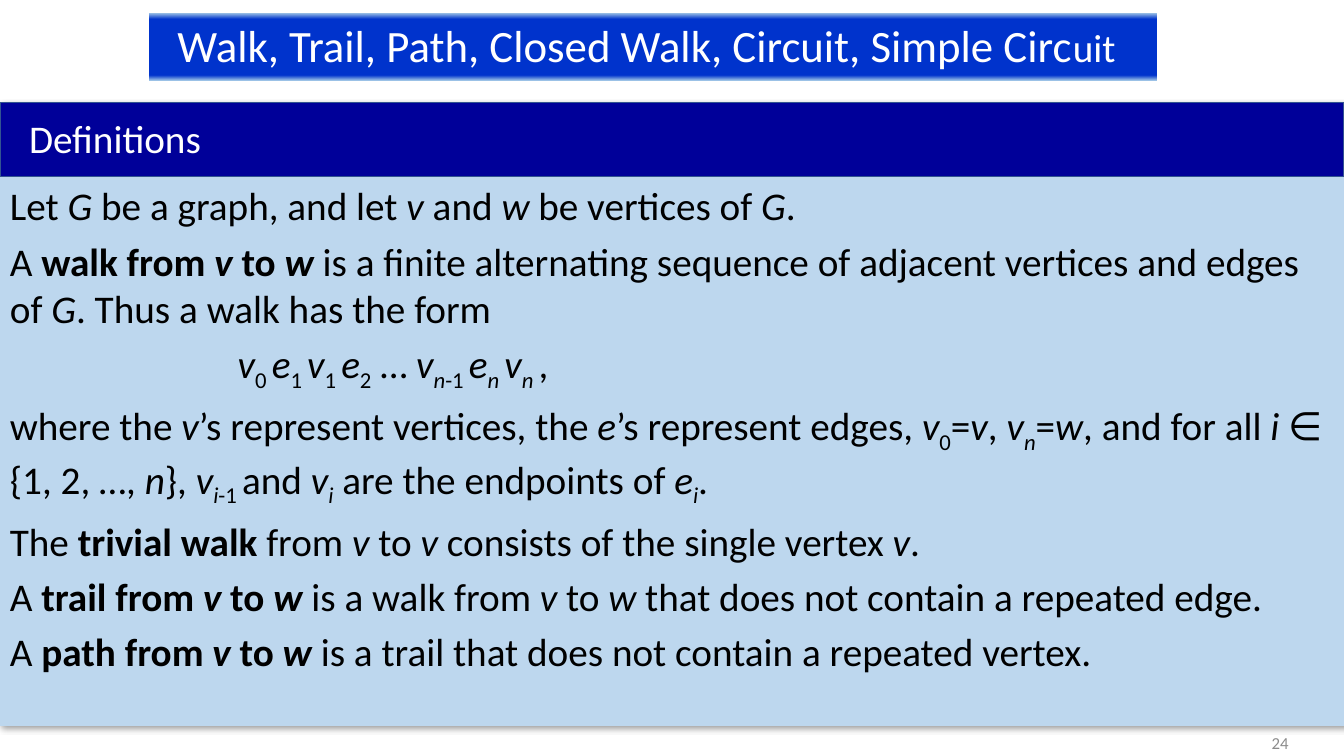
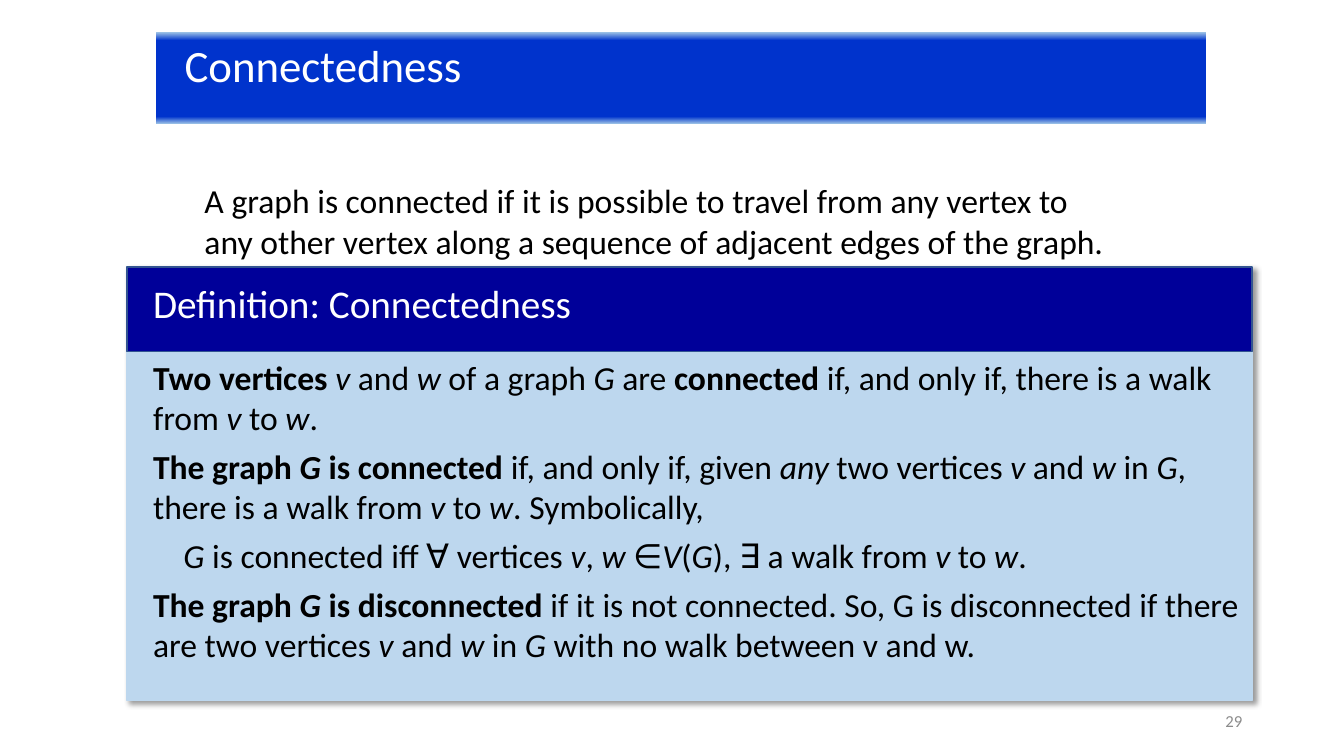
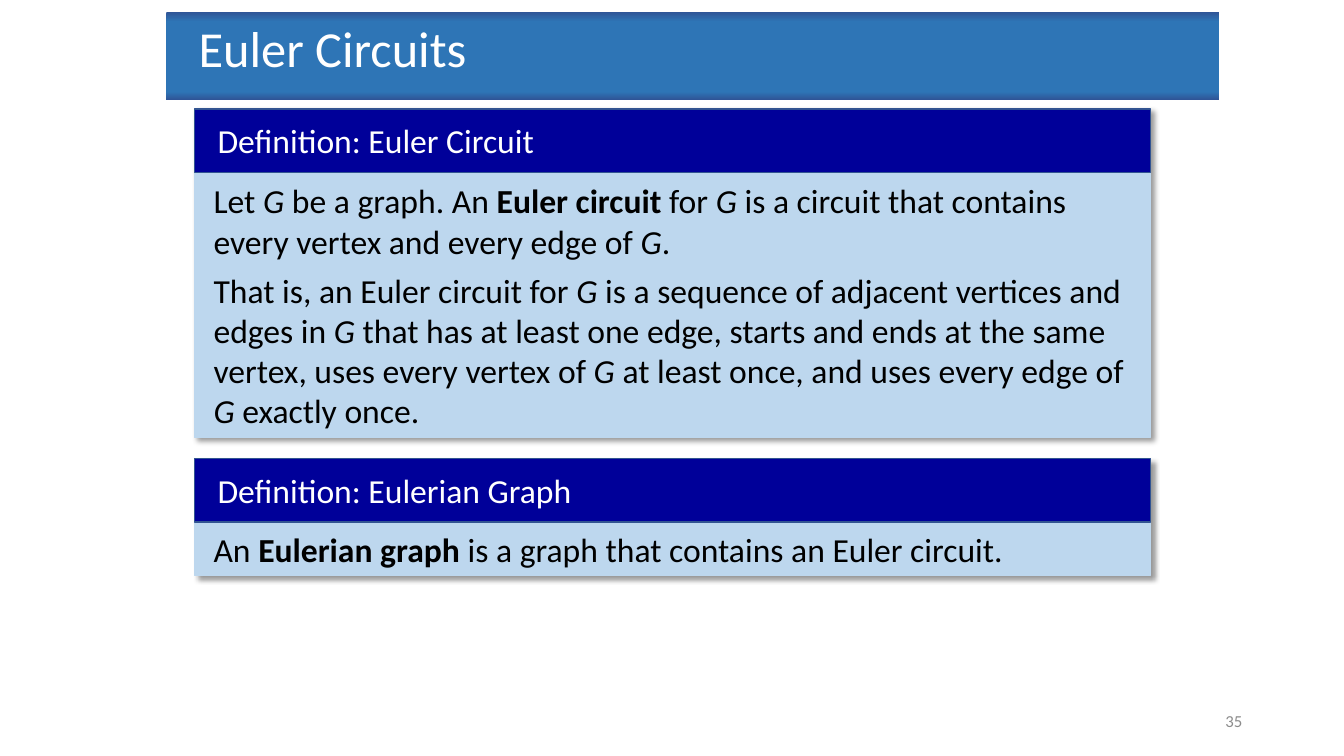
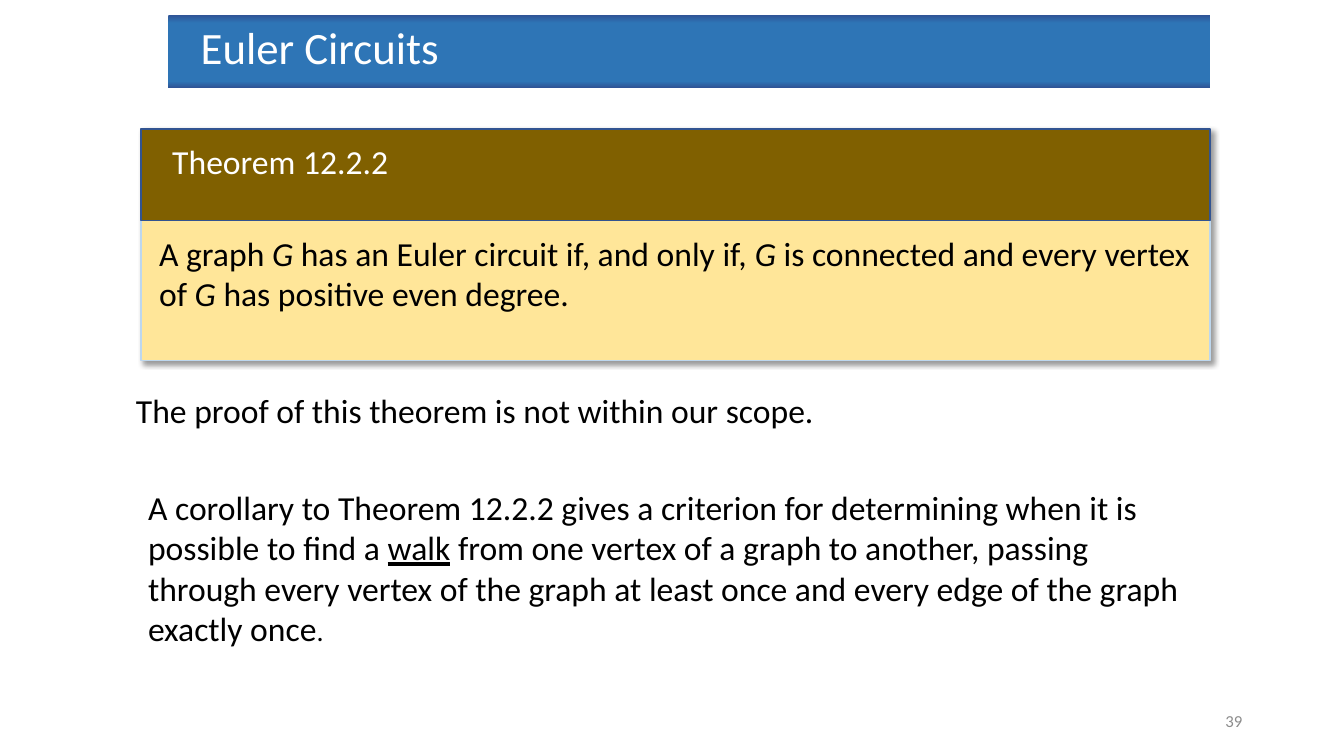
from lxml import etree
from pptx import Presentation
from pptx.dml.color import RGBColor
from pptx.enum.shapes import MSO_SHAPE
from pptx.enum.text import MSO_ANCHOR, MSO_AUTO_SIZE, PP_ALIGN
from pptx.oxml.ns import qn
from pptx.util import Inches, Pt

RECTANGLE = MSO_SHAPE.RECTANGLE
TOP, MIDDLE = MSO_ANCHOR.TOP, MSO_ANCHOR.MIDDLE
LEFT, RIGHT = PP_ALIGN.LEFT, PP_ALIGN.RIGHT
NO_AUTOFIT = MSO_AUTO_SIZE.NONE

FONT = "Calibri"
BLACK, WHITE, GREY = "000000", "FFFFFF", "8C8C8C"
PANEL_LINE, HEADER_LINE = "BDD7EE", "325491"
DEFINITION = ("000099", "BDD7EE")  # header fill, panel fill
THEOREM = ("806000", "FFE699")
# Title bands: gradient stops (percent, colour) and left margin of the title
ROYAL = ([(0, "9DC3E6"), (9, "0033CC"), (92, "0033CC"), (100, "9DC3E6")], 0.28)
STEEL = ([(0, "2F5597"), (11, "2E75B6"), (91, "2E75B6"), (100, "2F5597")], 0.32)
NUMBER_BOX = (9.42, 6.95, 3, 0.4)

# Marks that switch a style on and off in the texts below
MARKS = {"*": "bold", "_": "italic", "~": "subscript", "^": "underline", "|": "smaller"}

# Boxes are (left, top, width, height) in inches.
# A body paragraph is a string, or (string, first-line indent in inches).
SLIDES = [
    {
        "title": "Walk, Trail, Path, Closed Walk, Circuit, Simple Circ|uit|",
        "band": ROYAL, "title_box": (1.48, 0.13, 10, 0.67), "title_size": 32,
        "number": 24, "number_box": (9.88, 7.17, 3, 0.4),
        "panels": [{
            "colours": DEFINITION, "box": (0, 1.02, 13.33, 6.18), "header_height": 0.73,
            "header": "Definitions", "header_box": (0.19, 1.08, 12.6, 0.59), "header_size": 28,
            "body_box": (0, 1.75, 13.33, 5.45), "body_size": 28,
            "body": [
                "Let _G _be a graph, and let _v_ and _w_ be vertices of _G_.",
                "A *walk from _v_ to _w_* is a finite alternating sequence of adjacent "
                "vertices and edges of _G_. Thus a walk has the form",
                ("_v_~0 ~_e_~1 ~_v_~1 ~_e_~2~ … _v~n_-1 ~_e~n ~v~n ~_,", 2.26),
                "where the _v_’s represent vertices, the _e_’s represent edges, "
                "_v_~0~=_v_, _v~n~_=_w_, and for all _i _∈ {1, 2, …, _n_}, "
                "_v~i_-1 ~and _v~i~_ are the endpoints of _e~i~_.",
                "The *trivial walk *from _v_ to _v_ consists of the single vertex _v_.",
                "A *trail from _v_ to _w_* is a walk from _v_ to _w_ that does not "
                "contain a repeated edge.",
                "A *path from _v_ to _w _*is a trail that does not contain a repeated vertex.",
            ],
        }],
    },
    {
        "title": "Connectedness",
        "band": ROYAL, "title_box": (1.55, 0.32, 10.41, 0.91), "title_size": 32,
        "number": 29,
        "panels": [{
            "colours": DEFINITION, "box": (1.26, 2.65, 11.16, 4.3), "header_height": 0.84,
            "header": "Definition: Connectedness", "header_box": (1.42, 2.72, 10.54, 0.57),
            "header_size": 28,
            "body_box": (1.42, 3.49, 11.16, 3.18), "body_size": 24,
            "body": [
                "*Two vertices *_v_ and _w_ of a graph _G_ are *connected* if, and only if, "
                "there is a walk from _v_ to _w_.",
                "*The graph _G_ is connected *if, and only if, given _any_ two vertices "
                "_v_ and _w_ in _G_, there is a walk from _v_ to _w_. Symbolically,",
                ("_G_ is connected iff ∀ vertices _v_, _w_ ∈_V_(_G_), "
                 "∃ a walk from _v_ to _w_.", 0.3),
                "*The graph _G_ is disconnected *if it is not connected. So, G is "
                "disconnected if there are two vertices _v_ and _w_ in _G _with no walk "
                "between v and w.",
            ],
        }],
        "notes": [((1.93, 1.74, 9.24, 0.91),
                   "A graph is connected if it is possible to travel from any vertex to any "
                   "other vertex along a sequence of adjacent edges of the graph_._")],
    },
    {
        "title": "Euler Circuits",
        "band": STEEL, "title_box": (1.65, 0.12, 10.44, 0.87), "title_size": 36,
        "number": 35,
        "panels": [
            {
                "colours": DEFINITION, "box": (1.93, 1.08, 9.48, 3.26), "header_height": 0.63,
                "header": "Definition: Euler Circuit", "header_box": (2.06, 1.14, 8.96, 0.5),
                "header_size": 24,
                "body_box": (2.02, 1.74, 9.24, 2.61), "body_size": 24,
                "body": [
                    "Let _G_ be a graph. An *Euler circuit *for _G_ is a circuit that "
                    "contains every vertex and every edge of _G_.",
                    "That is, an Euler circuit for _G_ is a sequence of adjacent vertices "
                    "and edges in _G_ that has at least one edge, starts and ends at the "
                    "same vertex, uses every vertex of _G_ at least once, and uses every "
                    "edge of _G_ exactly once.",
                ],
            },
            {
                "colours": DEFINITION, "box": (1.93, 4.55, 9.48, 1.16), "header_height": 0.63,
                "header": "Definition: Eulerian Graph", "header_box": (2.06, 4.61, 8.96, 0.5),
                "header_size": 24,
                "body_box": (2.02, 5.2, 9.24, 0.5), "body_size": 24,
                "body": ["An *Eulerian graph *is a graph that contains an Euler circuit."],
            },
        ],
    },
    {
        "title": "Euler Circuits",
        "band": STEEL, "title_box": (1.67, 0.15, 10.33, 0.72), "title_size": 32,
        "number": 39,
        "panels": [{
            "colours": THEOREM, "box": (1.4, 1.28, 10.6, 2.3), "header_height": 0.91,
            "header": "Theorem 12.2.2", "header_box": (1.61, 1.35, 8.85, 0.5),
            "header_size": 24,
            "body_box": (1.48, 2.26, 10.52, 1.32), "body_size": 24,
            "body": ["A graph _G_ has an Euler circuit if, and only if, _G_ is connected "
                     "and every vertex of _G_ has positive even degree."],
        }],
        "notes": [
            ((1.25, 3.82, 9.08, 0.5), "The proof of this theorem is not within our scope."),
            ((1.37, 4.78, 10.6, 1.72),
             "A corollary to Theorem 12.2.2 gives a criterion for determining when it is "
             "possible to find a ^walk^ from one vertex of a graph to another, passing "
             "through every vertex of the graph at least once and every edge of the graph "
             "exactly once|.|"),
        ],
    },
]


def rgb(colour):
    return RGBColor.from_string(colour)


def inches(box):
    return [Inches(length) for length in box]


def split_marks(marked):
    """Yield (text, set of active styles) for each stretch between marks."""
    active, text = set(), ""
    for char in marked:
        if char in MARKS:
            if text:
                yield text, set(active)
            active ^= {MARKS[char]}
            text = ""
        else:
            text += char
    if text:
        yield text, active


def write_paragraph(paragraph, marked, size, colour, align=LEFT):
    paragraph.alignment = align
    font = paragraph.font
    font.name, font.size, font.color.rgb = FONT, Pt(size), rgb(colour)
    for text, styles in split_marks(marked):
        run = paragraph.add_run()
        run.text = text
        for style in styles & {"bold", "italic", "underline"}:
            setattr(run.font, style, True)
        if "smaller" in styles:
            run.font.size = Pt(size - 4)
        if "subscript" in styles:
            run._r.get_or_add_rPr().set("baseline", "-25000")


def add_text(shapes, box, paragraphs, size, colour, align=LEFT, anchor=TOP, space_after=0):
    frame = shapes.add_textbox(*inches(box)).text_frame
    frame.word_wrap = True
    frame.vertical_anchor = anchor
    for index, item in enumerate(paragraphs):
        marked, indent = item if isinstance(item, tuple) else (item, 0)
        paragraph = frame.add_paragraph() if index else frame.paragraphs[0]
        paragraph.space_after = Pt(space_after)
        if indent:
            paragraph._p.get_or_add_pPr().set("indent", str(Inches(indent)))
        write_paragraph(paragraph, marked, size, colour, align)


def add_rectangle(shapes, box, fill, line):
    rectangle = shapes.add_shape(RECTANGLE, *inches(box))
    rectangle.shadow.inherit = False
    rectangle.fill.solid()
    rectangle.fill.fore_color.rgb = rgb(fill)
    rectangle.line.color.rgb = rgb(line)
    rectangle.line.width = Pt(1)
    return rectangle


def add_child(parent, tag, **attributes):
    return etree.SubElement(parent, qn(tag), {key: str(v) for key, v in attributes.items()})


def drop_shadow(shape):
    effects = shape.element.spPr.find(qn("a:effectLst"))
    shadow = add_child(effects, "a:outerShdw", blurRad=Pt(4), dist=Pt(3),
                       dir=45 * 60000, algn="tl", rotWithShape=0)
    colour = add_child(shadow, "a:srgbClr", val=BLACK)
    add_child(colour, "a:alpha", val=40000)


def fill_gradient(shape, stops):
    """Fill the shape with a top-to-bottom gradient of any number of stops."""
    shape.fill.gradient()
    shape.fill.gradient_angle = 270
    stop_list = shape.element.xpath(".//a:gsLst")[0]
    for old_stop in list(stop_list):
        stop_list.remove(old_stop)
    for percent, colour in stops:
        stop = add_child(stop_list, "a:gs", pos=percent * 1000)
        add_child(stop, "a:srgbClr", val=colour)


def set_title(title, content):
    stops, margin = content["band"]
    title.left, title.top, title.width, title.height = inches(content["title_box"])
    fill_gradient(title, stops)
    frame = title.text_frame
    frame.auto_size = NO_AUTOFIT
    frame.word_wrap = True
    frame.vertical_anchor = TOP
    frame.margin_left = Inches(margin)
    write_paragraph(frame.paragraphs[0], content["title"], content["title_size"], WHITE)


def add_panel(slide, panel):
    """Add a shadowed panel with a header strip, as one group."""
    shapes = slide.shapes.add_group_shape().shapes
    header_fill, panel_fill = panel["colours"]
    left, top, width, _ = panel["box"]
    drop_shadow(add_rectangle(shapes, panel["box"], panel_fill, PANEL_LINE))
    add_rectangle(shapes, (left, top, width, panel["header_height"]), header_fill, HEADER_LINE)
    add_text(shapes, panel["header_box"], [panel["header"]], panel["header_size"], WHITE)
    add_text(shapes, panel["body_box"], panel["body"], panel["body_size"], BLACK, space_after=6)


def main():
    deck = Presentation()
    deck.slide_width, deck.slide_height = Inches(13.33), Inches(7.5)
    title_only = deck.slide_layouts[5]
    for content in SLIDES:
        slide = deck.slides.add_slide(title_only)
        set_title(slide.shapes.title, content)
        for panel in content["panels"]:
            add_panel(slide, panel)
        for box, note in content.get("notes", []):
            add_text(slide.shapes, box, [note], 24, BLACK)
        add_text(slide.shapes, content.get("number_box", NUMBER_BOX),
                 [str(content["number"])], 12, GREY, RIGHT, MIDDLE)
    deck.save("out.pptx")


if __name__ == "__main__":
    main()
